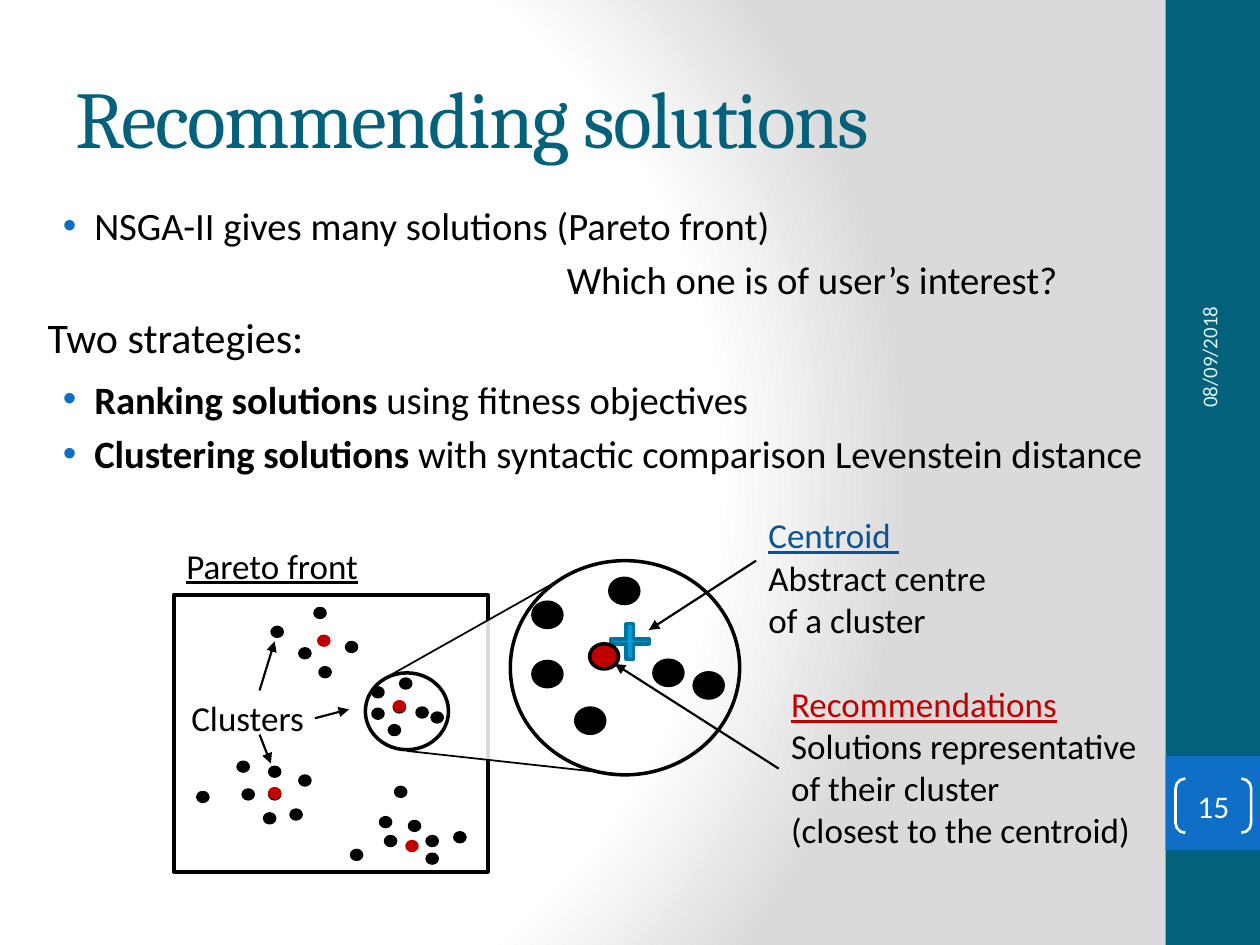
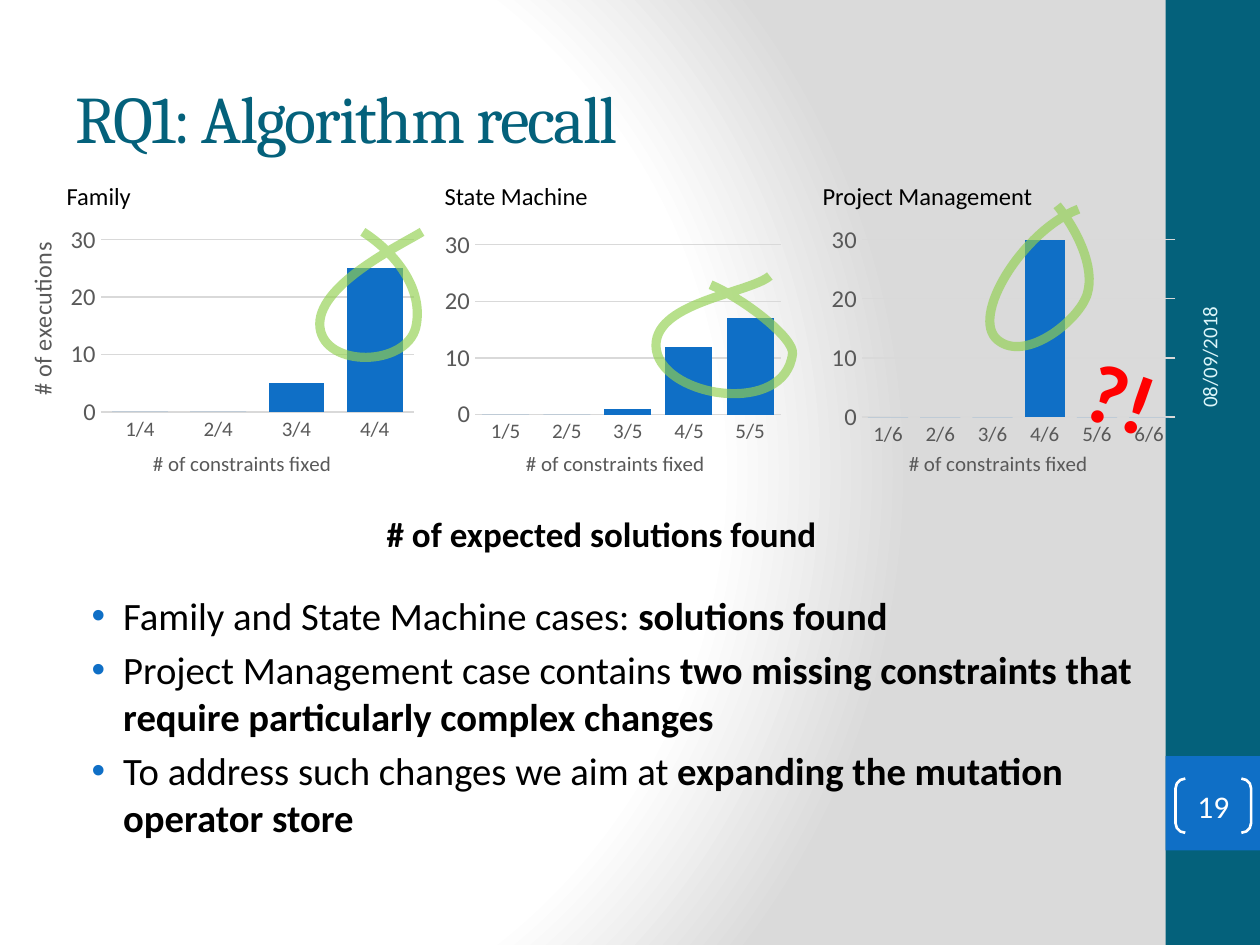
"""Two slides on recommending solutions and on the recall of the algorithm."""
from lxml.etree import SubElement
from pptx import Presentation
from pptx.chart.data import CategoryChartData
from pptx.dml.color import RGBColor
from pptx.enum.chart import XL_CHART_TYPE, XL_TICK_MARK
from pptx.enum.shapes import MSO_CONNECTOR, MSO_SHAPE
from pptx.enum.text import MSO_ANCHOR, MSO_AUTO_SIZE, PP_ALIGN
from pptx.oxml import parse_xml
from pptx.oxml.ns import nsdecls, qn
from pptx.util import Inches, Pt

COLOURS = {
    "black": "000000", "white": "FFFFFF", "teal": "04617B", "blue": "0F6FC6",
    "pale": "DBF5F9", "red": "C00000", "alert": "FF0000", "link": "0B5394",
    "cross": "009DD9", "cross edge": "0074A1", "rule": "D9D9D9",
    "axis": "595959", "shade": "DADADA", "marker": "92D050",
}
RGB = {name: RGBColor.from_string(value) for name, value in COLOURS.items()}
BODY_SIZE = 22.15

deck = Presentation()
deck.slide_width, deck.slide_height = Inches(10), Inches(7.5)
grid = deck.slide_width // 10


def write(frame, paragraphs, size, colour="black", font="Calibri", bullets=0):
    """Fill a frame with runs of (text, style letters, optional colour)."""
    for index, runs in enumerate(paragraphs):
        paragraph = frame.paragraphs[0] if index == 0 else frame.add_paragraph()
        if index < bullets:
            paragraph.space_before = Pt(4.4)
            properties = paragraph._p.get_or_add_pPr()
            properties.set("marL", str(Inches(0.37)))
            properties.set("indent", str(Inches(-0.25)))
            bullet_colour = SubElement(properties, qn("a:buClr"))
            SubElement(bullet_colour, qn("a:srgbClr"), val=COLOURS["blue"])
            SubElement(properties, qn("a:buFont"), typeface="Arial")
            SubElement(properties, qn("a:buChar"), char="•")
        for text, style, *own_colour in runs:
            if text == "\n":
                paragraph.add_line_break()
                continue
            run = paragraph.add_run()
            run.text = text
            run.font.name, run.font.size = font, Pt(size)
            run.font.bold, run.font.underline = "b" in style, "u" in style
            run.font.color.rgb = RGB[own_colour[0] if own_colour else colour]


def place(slide, kind, box, fill=None, line=None, width=2):
    """Add a preset shape, or a wrapping text box when kind is None."""
    box = [round(length * grid) for length in box]
    if kind is None:
        area = slide.shapes.add_textbox(*box)
        area.text_frame.word_wrap = True
        return area
    shape = slide.shapes.add_shape(kind, *box)
    shape.shadow.inherit = False
    if fill:
        shape.fill.solid()
        shape.fill.fore_color.rgb = RGB[fill]
    else:
        shape.fill.background()
    if line:
        shape.line.color.rgb, shape.line.width = RGB[line], Pt(width)
    else:
        shape.line.fill.background()
    return shape


common = deck.slide_master.element.find(qn("p:cSld"))
for background in common.findall(qn("p:bg")):
    common.remove(background)
stops = "".join(
    f'<a:gs pos="{share}000"><a:srgbClr val="{COLOURS[name]}"/></a:gs>'
    for share, name in ((0, "white"), (75, "white"), (100, "shade")))
common.insert(0, parse_xml(
    f'<p:bg {nsdecls("p", "a")}><p:bgPr><a:gradFill rotWithShape="1"><a:gsLst>{stops}</a:gsLst>'
    '<a:path path="circle"><a:fillToRect l="20000" t="50000" r="100000" b="50000"/></a:path>'
    '</a:gradFill><a:effectLst/></p:bgPr></p:bg>'))

slides = []
for heading, heading_size, number in (
        ("Recommending solutions", 46, "15"), ("RQ1: Algorithm recall", 38, "19")):
    slide = deck.slides.add_slide(deck.slide_layouts[5])
    slides.append(slide)
    place(slide, MSO_SHAPE.RECTANGLE, (9.25, 0, 0.75, 7.5), "teal")
    place(slide, MSO_SHAPE.RECTANGLE, (9.25, 6, 0.75, 0.75), "blue")
    title = slide.shapes.title
    title.left, title.top, title.width, title.height = (
        round(length * grid) for length in (0.5, 0.3, 8.33, 1.25))
    title.text_frame.auto_size = MSO_AUTO_SIZE.NONE
    title.text_frame.vertical_anchor = MSO_ANCHOR.MIDDLE
    write(title.text_frame, [[(heading, "")]], heading_size, "teal", "Cambria")
    title.text_frame.paragraphs[0].alignment = PP_ALIGN.LEFT
    title.text_frame.paragraphs[0].runs[0].font._element.set("spc", "-100")
    date = place(slide, None, (8.26, 1.8, 2.67, 0.4))
    date.rotation = 270
    date.text_frame.vertical_anchor = MSO_ANCHOR.MIDDLE
    write(date.text_frame, [[("08/09/2018", "")]], 12, "pale")
    brackets = place(slide, MSO_SHAPE.DOUBLE_BRACKET, (9.33, 6.18, 0.6, 0.43), None, "white", 1.5)
    brackets.adjustments[0] = 0.18
    page = brackets.text_frame
    page.margin_left = page.margin_right = page.margin_top = page.margin_bottom = 0
    page.vertical_anchor = MSO_ANCHOR.MIDDLE
    write(page, [[(number, "")]], 18, "white")
    page.paragraphs[0].alignment = PP_ALIGN.CENTER

strategies, recall = slides

problem = place(strategies, None, (0.28, 1.55, 8.33, 1.15)).text_frame
write(problem, [
    [("NSGA-II gives many solutions (Pareto front)", "")],
    [("Which one is of user’s interest?", "")],
], BODY_SIZE, bullets=1)
question = problem.paragraphs[1]
question.space_before = Pt(4.4)
question._p.get_or_add_pPr().set("marL", str(Inches(0.12)))
question._p.get_or_add_pPr().set("indent", str(Inches(4)))

for box, paragraphs, size, bullets in (
    ((0.28, 2.42, 2.33, 0.5), [[("Two strategies:", "")]], 24, 0),
    ((0.28, 2.93, 8.98, 2.03), [
        [("Ranking solutions ", "b"), ("using fitness objectives", "")],
        [("Clustering solutions ", "b"), ("with syntactic comparison Levenstein distance", "")],
    ], BODY_SIZE, 2),
    ((1.38, 4.27, 2.05, 0.44), [[("Pareto front", "u")]], 20, 0),
    ((1.42, 5.48, 1.27, 0.44), [[("Clusters", "")]], 20, 0),
    ((6, 4.03, 2.13, 1.11), [
        [("Centroid ", "u", "link")], [("Abstract centre", "")], [("of a cluster", "")],
    ], 20, 0),
    ((6.18, 5.37, 2.98, 1.45), [
        [("Recommendations", "u", "red")],
        [("Solutions representative of their cluster ", ""), ("\n", ""),
         ("(closest to the centroid)", "")],
    ], 20, 0),
):
    write(place(strategies, None, box).text_frame, paragraphs, size, bullets=bullets)

clusters = [
    [(2.16, 4.98), (2.5, 4.83), (2.75, 5.1), (2.54, 5.3), (2.38, 5.15)],
    [(1.89, 6.05), (1.57, 6.29), (2.31, 6.43), (2.38, 6.16), (2.1, 6.46),
     (1.93, 6.27), (2.14, 6.27), (2.14, 6.09)],
    [(2.96, 5.63), (3.18, 5.39), (3.43, 5.66), (3.09, 5.76), (3.13, 5.58),
     (2.96, 5.46), (3.31, 5.62)],
    [(3.02, 6.49), (3.14, 6.25), (3.61, 6.61), (3.06, 6.64), (2.79, 6.75),
     (3.25, 6.52), (3.39, 6.64), (3.39, 6.78)],
]
representatives = [(2.53, 5.05), (2.14, 6.26), (3.13, 5.57), (3.23, 6.68)]
magnified = [(4.23, 5.25), (4.84, 4.59), (5.51, 5.34), (4.57, 5.62), (4.23, 4.78), (5.19, 5.24)]

place(strategies, MSO_SHAPE.RECTANGLE, (1.38, 4.72, 2.49, 2.2), None, "black", 2.25)
place(strategies, MSO_SHAPE.OVAL, (4.05, 4.45, 1.82, 1.7), None, "black")
for spots, size, colour in (
        (sum(clusters, []), (0.08, 0.07), "black"),
        (representatives, (0.08, 0.07), "red"),
        (magnified, (0.23, 0.2), "black")):
    for spot in spots:
        place(strategies, MSO_SHAPE.OVAL, spot + size, colour, colour)
centroid = place(strategies, MSO_SHAPE.CROSS, (4.85, 4.95, 0.3, 0.28), "cross", "cross edge")
centroid.adjustments[0] = 0.43

for ends, colour, width, arrow in (
    ((3.87, 4.92, 3.87, 6.03), "rule", 2.25, False),
    ((3.06, 5.38, 4.48, 4.58), "black", 1, False),
    ((3.23, 5.96, 4.96, 6.15), "black", 1, False),
    ((6.18, 6.1, 4.88, 5.27), "black", 1.25, True),
    ((6, 4.45, 5.15, 5), "black", 1.25, True),
    ((2.06, 5.83, 2.15, 6.06), "black", 1.25, True),
    ((2.06, 5.48, 2.18, 5.09), "black", 1.25, True),
    ((2.5, 5.7, 2.77, 5.63), "black", 1.25, True),
):
    link = strategies.shapes.add_connector(
        MSO_CONNECTOR.STRAIGHT, *(round(length * grid) for length in ends))
    link.line.color.rgb, link.line.width = RGB[colour], Pt(width)
    if arrow:
        SubElement(link.line._get_or_add_ln(), qn("a:tailEnd"), type="triangle")
    SubElement(link._element.spPr, qn("a:effectLst"))
place(strategies, MSO_SHAPE.OVAL, (2.9, 5.34, 0.66, 0.61), None, "black")
place(strategies, MSO_SHAPE.OVAL, (4.68, 5.11, 0.23, 0.2), "red", "black")

cases = [
    ((0.1, 1.76, 3.19, 2.07), [0, 0, 5, 25], 40, (0.22, 0.07, 0.78, 0.67), 0.34),
    ((3.18, 1.76, 3.11, 2.07), [0, 0, 1, 12, 17], 30, (0.19, 0.09, 0.78, 0.66), 0.31),
    ((6.25, 1.76, 3.11, 2.07), [0, 0, 0, 30, 0, 0], 30, (0.19, 0.07, 0.8, 0.69), 0.3),
]
for case, (box, executions, gap, plot_box, caption_left) in enumerate(cases):
    data = CategoryChartData()
    data.categories = [f"{fixed}/{len(executions)}" for fixed in range(1, len(executions) + 1)]
    data.add_series("Series 1", executions)
    chart = recall.shapes.add_chart(
        XL_CHART_TYPE.COLUMN_CLUSTERED, *(round(length * grid) for length in box), data).chart
    chart.has_legend = chart.has_title = False
    chart.font.name, chart.font.size = "Calibri", Pt(12)
    plot = chart.plots[0]
    plot.gap_width, plot.overlap, plot.vary_by_categories = gap, -27, False
    plot.series[0].format.fill.solid()
    plot.series[0].format.fill.fore_color.rgb = RGB["blue"]

    fixed_axis, count_axis = chart.category_axis, chart.value_axis
    for axis, size in ((fixed_axis, 12), (count_axis, 14)):
        axis.major_tick_mark = axis.minor_tick_mark = XL_TICK_MARK.NONE
        axis.tick_labels.font.name, axis.tick_labels.font.size = "Calibri", Pt(size)
        axis.tick_labels.font.color.rgb = RGB["axis"]
    count_axis.minimum_scale, count_axis.maximum_scale, count_axis.major_unit = 0, 30, 10
    count_axis.format.line.fill.background()
    for rule in (fixed_axis.format.line, count_axis.major_gridlines.format.line):
        rule.color.rgb, rule.width = RGB["rule"], Pt(0.75)

    write(fixed_axis.axis_title.text_frame, [[("# of constraints fixed", "")]], 12, "axis")
    layouts = [
        (chart.element.find(".//" + qn("c:plotArea")), 0, plot_box),
        (fixed_axis.axis_title._element, 1, (caption_left, 0.87)),
    ]
    if case == 0:
        caption = count_axis.axis_title
        write(caption.text_frame, [[("# of executions", "")]], 14, "axis")
        caption.text_frame._txBody.bodyPr.set("rot", "-5400000")
        caption.text_frame._txBody.bodyPr.set("vert", "horz")
        layouts.append((caption._element, 1, (0.02, 0.07)))
    for parent, position, shares in layouts:
        for old in parent.findall(qn("c:layout")):
            parent.remove(old)
        target = '<c:layoutTarget val="inner"/>' if len(shares) == 4 else ""
        modes = '<c:xMode val="edge"/><c:yMode val="edge"/>'
        places = "".join(f'<c:{key} val="{share}"/>' for key, share in zip("xywh", shares))
        parent.insert(position, parse_xml(
            f'<c:layout {nsdecls("c")}><c:manualLayout>{target}{modes}{places}'
            '</c:manualLayout></c:layout>'))

case_names = place(recall, None, (0.43, 1.39, 8.97, 0.34)).text_frame
write(case_names, [[("Family\tState Machine\tProject Management", "")]], 14)
tabs = SubElement(case_names.paragraphs[0]._p.get_or_add_pPr(), qn("a:tabLst"))
for column in (3, 6):
    SubElement(tabs, qn("a:tab"), pos=str(column * grid), algn="l")

loops = [
    [(2.88, 1.84), (3.13, 2), (3.37, 2.29), (3.3, 2.6), (3.22, 2.91), (2.58, 2.92),
     (2.54, 2.6), (2.5, 2.27), (3.17, 1.95), (3.35, 1.84)],
    [(5.64, 2.26), (5.92, 2.38), (6.31, 2.69), (6.29, 2.81), (6.23, 3.3), (5.28, 3.16),
     (5.21, 2.78), (5.15, 2.4), (5.95, 2.33), (6.11, 2.19)],
    [(8.39, 1.63), (8.56, 1.84), (8.69, 2.13), (8.63, 2.33), (8.57, 2.54), (8.14, 2.88),
     (7.92, 2.7), (7.69, 2.52), (8.12, 1.83), (8.56, 1.66)],
]
for controls in loops:
    points = [(round(x * grid), round(y * grid)) for x, y in controls]
    outline = recall.shapes.build_freeform(*points[0])
    outline.add_line_segments(points[1:], close=False)
    loop = outline.convert_to_shape()
    loop.shadow.inherit = False
    loop.fill.background()
    loop.line.color.rgb, loop.line.width = RGB["marker"], Pt(5.25)
    ink = loop.line._get_or_add_ln().find(".//" + qn("a:srgbClr"))
    SubElement(ink, qn("a:alpha"), val="66000")
    stroke = loop._element.find(".//" + qn("a:path"))
    segments = stroke.findall(qn("a:lnTo"))
    for start in range(0, len(segments), 3):
        curve = SubElement(stroke, qn("a:cubicBezTo"))
        for segment in segments[start:start + 3]:
            curve.append(segment[0])
            stroke.remove(segment)

doubt = place(recall, None, (8.54, 2.69, 0.73, 0.91))
doubt.rotation = 19.3
doubt.text_frame.word_wrap = False
write(doubt.text_frame, [[("?!", "b")]], 48, "alert")

summary = place(recall, None, (2.97, 4.02, 3.65, 0.44)).text_frame
summary.word_wrap = False
write(summary, [[("# of expected solutions found", "b")]], 20)
findings = place(recall, None, (0.51, 4.65, 8.64, 2.47)).text_frame
write(findings, [
    [("Family and State Machine cases: ", ""), ("solutions found", "b")],
    [("Project Management case contains ", ""),
     ("two missing constraints that require particularly complex changes", "b")],
    [("To address such changes we aim at", ""), (" expanding the mutation operator store", "b")],
], BODY_SIZE, bullets=3)

deck.save("out.pptx")
